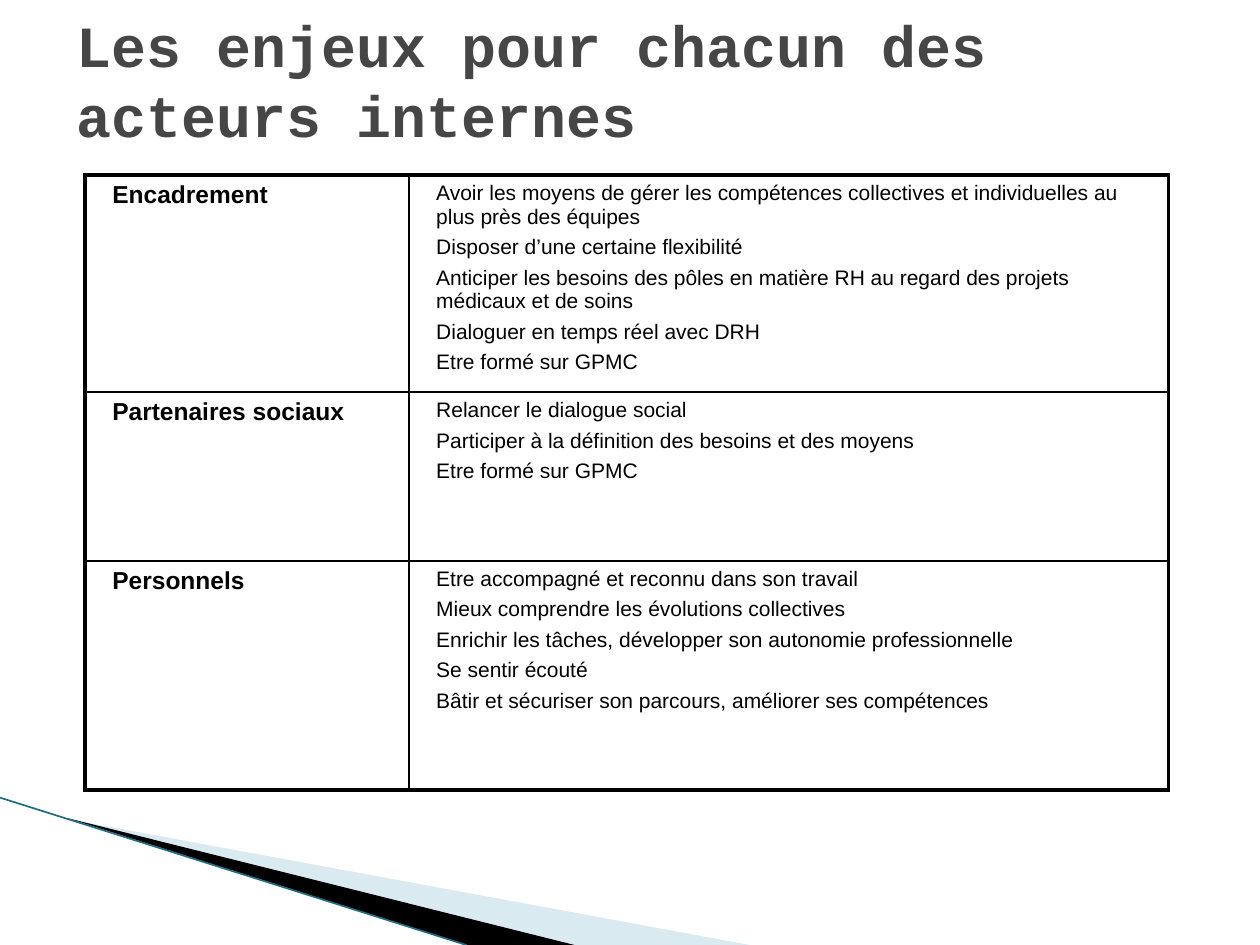
import pptx
import pptx.dml.color
import pptx.enum.shapes
import pptx.enum.text
import pptx.oxml
import pptx.oxml.ns
import pptx.util
from lxml import etree
from pptx.util import Cm

BLACK = pptx.dml.color.RGBColor(0x00, 0x00, 0x00)
TITLE_GREY = pptx.dml.color.RGBColor(0x46, 0x46, 0x46)
PALE_BLUE = pptx.dml.color.RGBColor(0xA0, 0xCB, 0xDC)
TEAL = pptx.dml.color.RGBColor(0x1B, 0x6E, 0x84)

THIN, THICK = 1, 2.25
COLUMN_WIDTHS = [6.53, 15.32]
ROW_HEIGHTS = [4.14, 3.4, 4.62]

STAKES = [
    ("Encadrement", [
        "Avoir les moyens de gérer les compétences collectives et individuelles au plus près des équipes",
        "Disposer d’une certaine flexibilité",
        "Anticiper les besoins des pôles en matière RH au regard des projets médicaux et de soins",
        "Dialoguer en temps réel avec DRH",
        "Etre formé sur GPMC",
    ]),
    ("Partenaires sociaux", [
        "Relancer le dialogue social",
        "Participer à la définition des besoins et des moyens",
        "Etre formé sur GPMC",
    ]),
    ("Personnels", [
        "Etre accompagné et reconnu dans son travail",
        "Mieux comprendre les évolutions collectives",
        "Enrichir les tâches, développer son autonomie professionnelle",
        "Se sentir écouté",
        "Bâtir et sécuriser son parcours, améliorer ses compétences",
    ]),
]


def format_runs(paragraph, font_name, size, color, bold):
    for run in paragraph.runs:
        run.font.name = font_name
        run.font.size = pptx.util.Pt(size)
        run.font.color.rgb = color
        run.font.bold = bold


def add_wedge(slide, points, color, opacity=100):
    corners = [(Cm(x), Cm(y)) for x, y in points]
    builder = slide.shapes.build_freeform(*corners[0])
    builder.add_line_segments(corners[1:], close=True)
    shape = builder.convert_to_shape()
    shape.shadow.inherit = False
    shape.line.fill.background()
    shape.fill.solid()
    shape.fill.fore_color.rgb = color
    if opacity < 100:
        color_element = shape.fill._xPr.find(".//" + pptx.oxml.ns.qn("a:srgbClr"))
        alpha = etree.SubElement(color_element, pptx.oxml.ns.qn("a:alpha"))
        alpha.set("val", str(opacity * 1000))


def add_edge_line(slide, start, end):
    connector = slide.shapes.add_connector(
        pptx.enum.shapes.MSO_CONNECTOR.STRAIGHT, *map(Cm, start + end))
    connector.line.color.rgb = TEAL
    connector.line.width = pptx.util.Pt(0.95)
    etree.SubElement(connector._element.spPr, pptx.oxml.ns.qn("a:effectLst"))


def add_title(slide, text):
    shape = slide.shapes.add_textbox(Cm(1.3), Cm(0), Cm(22.86), Cm(3.18))
    text_frame = shape.text_frame
    text_frame.word_wrap = True
    text_frame.vertical_anchor = pptx.enum.text.MSO_ANCHOR.MIDDLE
    text_frame.text = text
    format_runs(text_frame.paragraphs[0], "Courier New", 33.3, TITLE_GREY, True)


def set_borders(cell, widths):
    properties = cell._tc.get_or_add_tcPr()
    for position, (side, width) in enumerate(widths.items()):
        line = pptx.oxml.parse_xml(
            f'<a:ln{side} {pptx.oxml.ns.nsdecls("a")} w="{pptx.util.Pt(width)}">'
            f'<a:solidFill><a:srgbClr val="{BLACK}"/></a:solidFill></a:ln{side}>')
        properties.insert(position, line)


def fill_cell(cell, lines, size, bold):
    cell.fill.background()
    cell.text_frame.text = "\n".join(lines)
    for index, paragraph in enumerate(cell.text_frame.paragraphs):
        properties = paragraph._p.get_or_add_pPr()
        properties.set("marL", str(Cm(0.3)))
        properties.set("indent", "0")
        if index:
            paragraph.space_before = pptx.util.Pt(4)
        format_runs(paragraph, "Arial", size, BLACK, bold)


def add_stakes_table(slide):
    frame = slide.shapes.add_table(
        len(STAKES), 2, Cm(1.71), Cm(3.53), Cm(sum(COLUMN_WIDTHS)), Cm(sum(ROW_HEIGHTS)))
    table = frame.table
    table.first_row = False
    table.horz_banding = False
    for column, width in zip(table.columns, COLUMN_WIDTHS):
        column.width = Cm(width)
    last_row = len(STAKES) - 1
    for row, (actor, stakes) in enumerate(STAKES):
        table.rows[row].height = Cm(ROW_HEIGHTS[row])
        fill_cell(table.cell(row, 0), [actor], 14, True)
        fill_cell(table.cell(row, 1), stakes, 12, False)
        for column in range(2):
            set_borders(table.cell(row, column), {
                "L": THICK if column == 0 else THIN,
                "R": THICK if column == 1 else THIN,
                "T": THICK if row == 0 else THIN,
                "B": THICK if row == last_row else THIN,
            })


def main():
    presentation = pptx.Presentation()
    presentation.slide_width = Cm(25.4)
    presentation.slide_height = Cm(19.05)
    slide = presentation.slides.add_slide(presentation.slide_layouts[6])
    add_wedge(slide, [(1.4, 16.52), (15.11, 19.05), (11.58, 19.05)], PALE_BLUE, 40)
    add_wedge(slide, [(1.35, 16.49), (11.58, 19.05), (9.42, 19.05)], BLACK)
    add_edge_line(slide, (0, 16.08), (9.4, 19.05))
    add_title(slide, "Les enjeux pour chacun des acteurs internes")
    add_stakes_table(slide)
    presentation.save("out.pptx")


if __name__ == "__main__":
    main()
